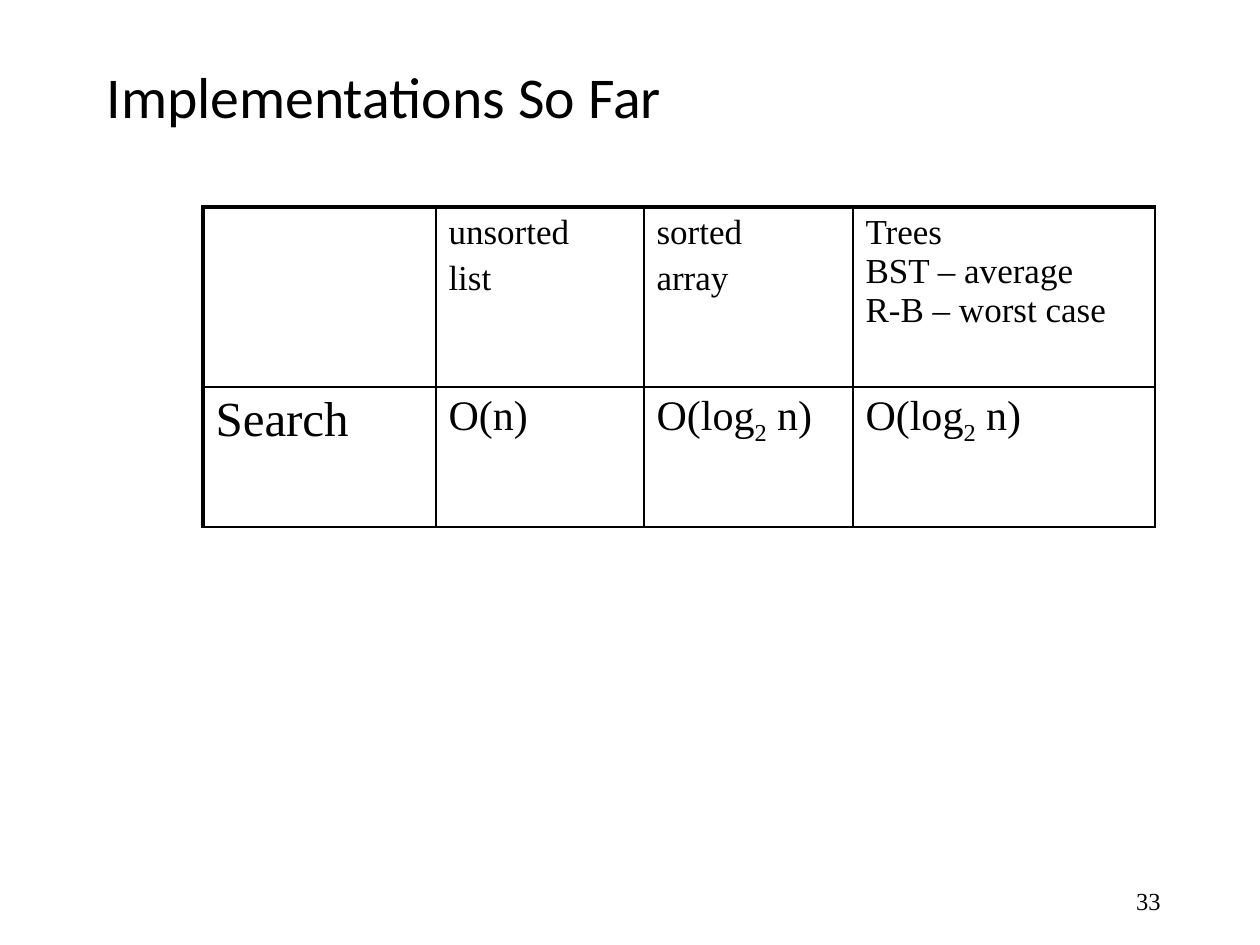
import pptx
import pptx.dml.color
import pptx.enum.text
import pptx.oxml.ns
import pptx.util
from lxml import etree

SERIF = "Times New Roman"
BLACK = "000000"
ALIGN = pptx.enum.text.PP_ALIGN
MIDDLE = pptx.enum.text.MSO_ANCHOR.MIDDLE

COLUMNS = [233, 208, 209, 302]
ROWS = [180, 140]
# Each cell: font size and paragraphs; "_" marks the next character as subscript
CELLS = [
    [(20, []), (20, ["unsorted", "list"]), (20, ["sorted", "array"]),
     (20, ["Trees\vBST – average\vR-B – worst case"])],
    [(28, ["Search"]), (24, ["O(n)"]), (24, ["O(log_2 n)"]), (24, ["O(log_2 n)"])],
]


def px(n):
    return pptx.util.Emu(round(n * 914400 / 126))


def rgb(value):
    return pptx.dml.color.RGBColor.from_string(value)


def set_font(p, name, size):
    p.font.name = name
    p.font.size = pptx.util.Pt(size)
    p.font.color.rgb = rgb(BLACK)


def add_title(slide, x, y, w, h, text):
    sp = slide.shapes.title
    sp.left, sp.top, sp.width, sp.height = px(x), px(y), px(w), px(h)
    tf = sp.text_frame
    tf.text = text
    tf.vertical_anchor = MIDDLE
    p = tf.paragraphs[0]
    p.alignment = ALIGN.LEFT
    p.line_spacing = 0.9
    set_font(p, "Calibri", 33)


def add_page_number(slide, x, y, w, h, text):
    tf = slide.shapes.add_textbox(px(x), px(y), px(w), px(h)).text_frame
    tf.word_wrap = True
    tf.vertical_anchor = MIDDLE
    p = tf.paragraphs[0]
    p.text = text
    p.alignment = ALIGN.RIGHT
    set_font(p, SERIF, 14)


def set_borders(cell, widths):
    tc_pr = cell._tc.get_or_add_tcPr()
    qn = pptx.oxml.ns.qn
    for side, width in zip("LRTB", widths):
        ln = etree.SubElement(tc_pr, qn("a:ln" + side), w=str(pptx.util.Pt(width)))
        fill = etree.SubElement(ln, qn("a:solidFill"))
        etree.SubElement(fill, qn("a:srgbClr"), val=BLACK)


def fill_cell(cell, size, lines):
    tf = cell.text_frame
    for i, line in enumerate(lines or [""]):
        p = tf.paragraphs[0] if i == 0 else tf.add_paragraph()
        p.space_before = pptx.util.Pt(size * 0.2)
        set_font(p, SERIF, size)
        base, mark, rest = line.partition("_")
        if not mark:
            p.text = line
            continue
        for text, offset in ((base, 0), (rest[0], -25000), (rest[1:], 0)):
            r = p.add_run()
            r.text = text
            if offset:
                r.font._element.set("baseline", str(offset))


def add_cost_table(slide, x, y):
    table = slide.shapes.add_table(len(ROWS), len(COLUMNS), px(x), px(y),
                                   px(sum(COLUMNS)), px(sum(ROWS))).table
    table.first_row = table.horz_banding = False
    for column, w in zip(table.columns, COLUMNS):
        column.width = px(w)
    for row, h in zip(table.rows, ROWS):
        row.height = px(h)
    for i, row in enumerate(CELLS):
        for j, (size, lines) in enumerate(row):
            cell = table.cell(i, j)
            # Heavier rule along the left and top edges
            set_borders(cell, (1 if j else 2.25, 1, 1 if i else 2.25, 1))
            cell.fill.background()
            fill_cell(cell, size, lines)


def main():
    prs = pptx.Presentation()
    prs.slide_width, prs.slide_height = px(1260), px(945)
    slide = prs.slides.add_slide(prs.slide_layouts[5])
    add_page_number(slide, 890, 876, 283, 50, "33")
    add_title(slide, 94, 21, 1071, 158, "Implementations So Far")
    add_cost_table(slide, 203, 207)
    prs.save("out.pptx")


if __name__ == "__main__":
    main()
